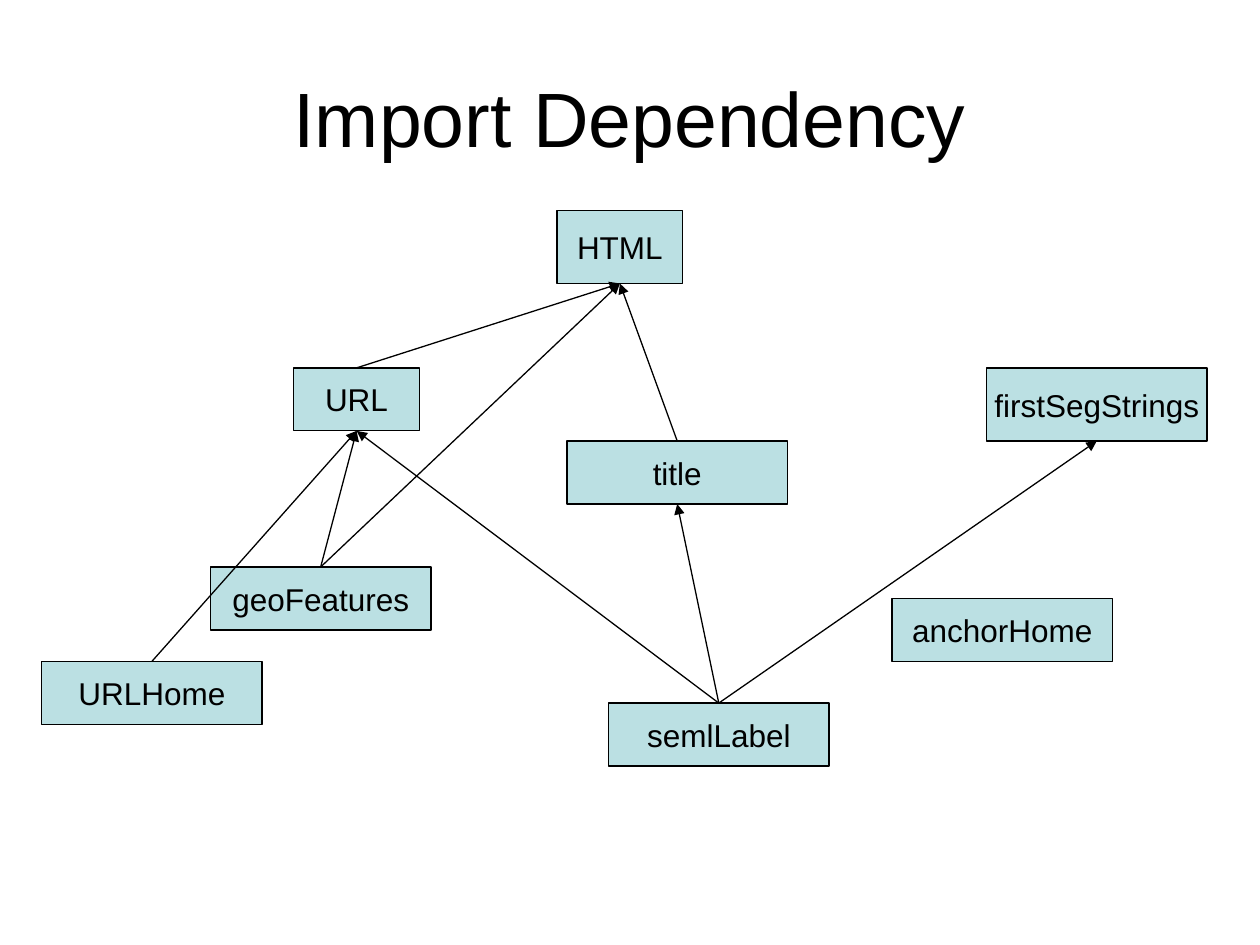
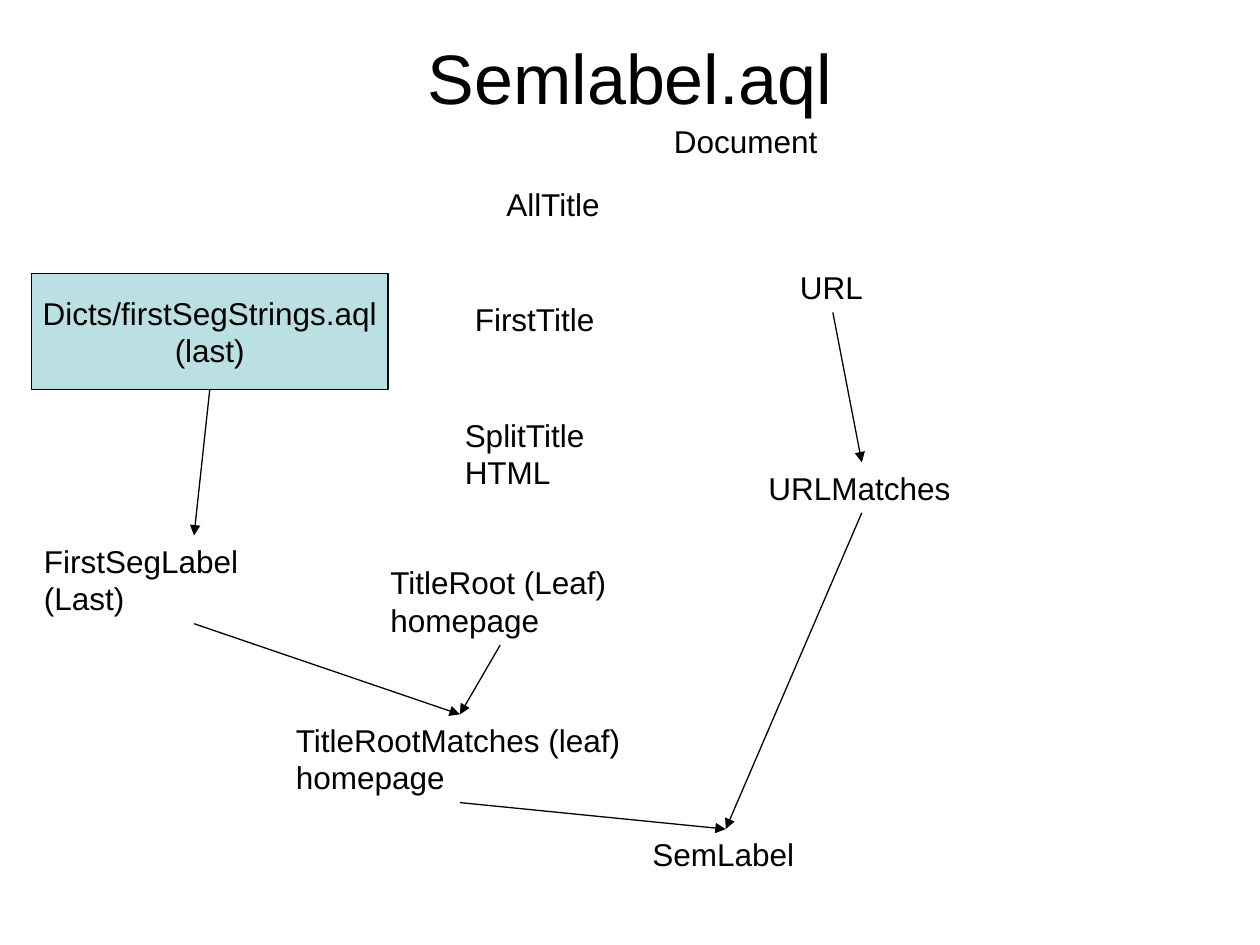
from dataclasses import dataclass

from lxml import etree
from pptx import Presentation
from pptx import util as u
from pptx.dml.color import RGBColor
from pptx.enum import shapes, text
from pptx.oxml.ns import qn


@dataclass(frozen=True)
class Theme:
    font: str = "Arial"
    ink: RGBColor = RGBColor(0x00, 0x00, 0x00)
    box_fill: RGBColor = RGBColor(0xBB, 0xE0, 0xE3)
    label_size: int = 18
    line_width: float = 0.75


THEME = Theme()
TOP, BOTTOM = 0, 2


def write(tf, content, size=THEME.label_size, align=text.PP_ALIGN.LEFT,
          anchor=text.MSO_ANCHOR.TOP, wrap=False,
          auto_size=text.MSO_AUTO_SIZE.NONE):
    """Fill a text frame, one paragraph for each line of content."""
    tf.text = content
    tf.auto_size = auto_size
    tf.word_wrap = wrap
    tf.vertical_anchor = anchor
    tf.margin_left = tf.margin_right = u.Inches(0.1)
    tf.margin_top = tf.margin_bottom = u.Inches(0.05)
    for p in tf.paragraphs:
        p.alignment = align
        p.font.name = THEME.font
        p.font.size = u.Pt(size)
        p.font.color.rgb = THEME.ink


def add_arrow(slide, source, source_side, target, target_side):
    line = slide.shapes.add_connector(shapes.MSO_CONNECTOR.STRAIGHT, 0, 0, 0, 0)
    line.begin_connect(source, source_side)
    line.end_connect(target, target_side)
    line.line.color.rgb = THEME.ink
    line.line.width = u.Pt(THEME.line_width)
    etree.SubElement(line.line._get_or_add_ln(), qn("a:tailEnd"), type="triangle")
    etree.SubElement(line._element.spPr, qn("a:effectLst"))


# Boxes and labels: key -> (text, left, top, width, height)
# Arrows run from the first side of the source to the second side of the target.
DIAGRAMS = [
    dict(
        title="Import Dependency", title_size=44, title_height=1.25,
        boxes={
            "html": ("HTML", 4.42, 1.67, 1, 0.58),
            "url": ("URL", 2.33, 2.92, 1, 0.5),
            "first_seg": ("firstSegStrings", 7.83, 2.92, 1.75, 0.58),
            "seml_label": ("semlLabel", 4.83, 5.58, 1.75, 0.5),
            "geo": ("geoFeatures", 1.67, 4.5, 1.75, 0.5),
            "anchor_home": ("anchorHome", 7.08, 4.75, 1.75, 0.5),
            "url_home": ("URLHome", 0.33, 5.25, 1.75, 0.5),
            "title": ("title", 4.5, 3.5, 1.75, 0.5),
        },
        labels={},
        sides=(TOP, BOTTOM),
        arrows=[
            ("url", "html"), ("geo", "html"), ("title", "html"),
            ("geo", "url"), ("url_home", "url"), ("seml_label", "url"),
            ("seml_label", "title"), ("seml_label", "first_seg"),
        ],
    ),
    dict(
        title="Semlabel.aql", title_size=40, title_height=0.62,
        boxes={
            "dicts": ("Dicts/firstSegStrings.aql\n(last)", 0.25, 2.17, 2.83, 0.92),
        },
        labels={
            "document": ("Document", 5.25, 0.92, 1.36, 0.4),
            "all_title": ("AllTitle", 3.92, 1.42, 0.97, 0.4),
            "url": ("URL", 6.25, 2.08, 0.72, 0.4),
            "first_title": ("FirstTitle", 3.67, 2.33, 1.18, 0.4),
            "split_title": ("SplitTitle\nHTML", 3.59, 3.25, 1.18, 0.7),
            "url_matches": ("URLMatches", 6, 3.67, 1.68, 0.4),
            "first_seg": ("FirstSegLabel\n(Last)", 0.25, 4.25, 2.58, 0.7),
            "title_root": ("TitleRoot (Leaf)\nhomepage", 3, 4.42, 1.94, 0.7),
            "root_matches": ("TitleRootMatches (leaf)\nhomepage", 2.25, 5.67, 2.8, 0.7),
            "sem_label": ("SemLabel", 5.08, 6.58, 1.36, 0.4),
        },
        sides=(BOTTOM, TOP),
        arrows=[
            ("dicts", "first_seg"), ("first_seg", "root_matches"),
            ("title_root", "root_matches"), ("root_matches", "sem_label"),
            ("url", "url_matches"), ("url_matches", "sem_label"),
        ],
    ),
]
WRAPPED_LABELS = {"first_seg"}

prs = Presentation()
prs.slide_width, prs.slide_height = u.Inches(10), u.Inches(7.5)
title_only = prs.slide_layouts[5]

for diagram in DIAGRAMS:
    slide = prs.slides.add_slide(title_only)
    title = slide.shapes.title
    title.left, title.top = u.Inches(0.5), u.Inches(0.3)
    title.width, title.height = u.Inches(9), u.Inches(diagram["title_height"])
    write(title.text_frame, diagram["title"], size=diagram["title_size"],
          align=text.PP_ALIGN.CENTER, anchor=text.MSO_ANCHOR.MIDDLE, wrap=True)

    nodes = {}
    for key, (content, *place) in diagram["boxes"].items():
        sp = slide.shapes.add_shape(shapes.MSO_SHAPE.RECTANGLE, *map(u.Inches, place))
        sp.shadow.inherit = False
        sp.fill.solid()
        sp.fill.fore_color.rgb = THEME.box_fill
        sp.line.color.rgb = THEME.ink
        sp.line.width = u.Pt(THEME.line_width)
        write(sp.text_frame, content, align=text.PP_ALIGN.CENTER,
              anchor=text.MSO_ANCHOR.MIDDLE)
        nodes[key] = sp

    for key, (content, *place) in diagram["labels"].items():
        sp = slide.shapes.add_textbox(*map(u.Inches, place))
        write(sp.text_frame, content, wrap=key in WRAPPED_LABELS,
              auto_size=text.MSO_AUTO_SIZE.SHAPE_TO_FIT_TEXT)
        nodes[key] = sp

    source_side, target_side = diagram["sides"]
    for source, target in diagram["arrows"]:
        add_arrow(slide, nodes[source], source_side, nodes[target], target_side)

prs.save("out.pptx")
